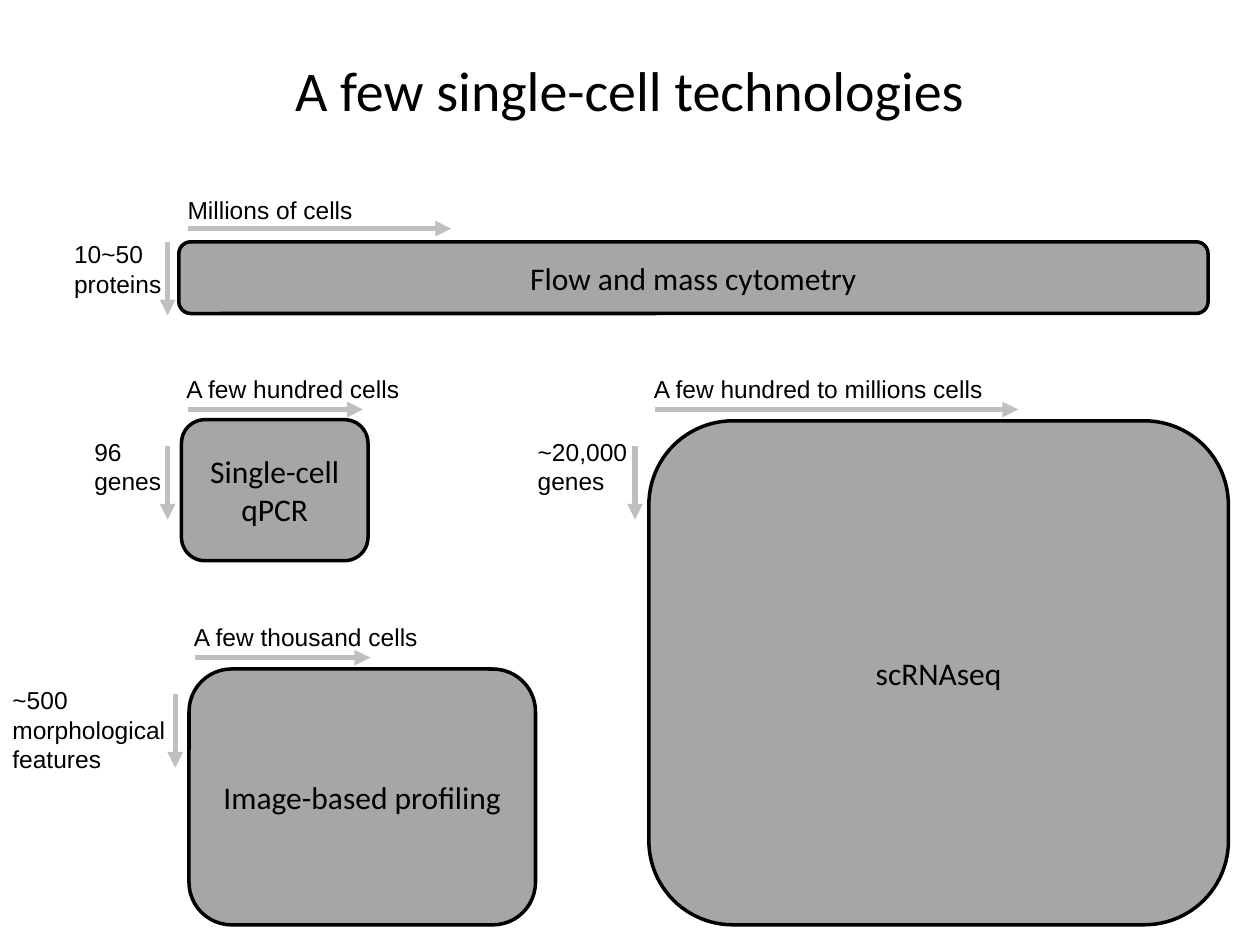
from dataclasses import dataclass

from lxml import etree
from pptx import Presentation
from pptx.dml.color import RGBColor
from pptx.enum.shapes import MSO_CONNECTOR, MSO_SHAPE
from pptx.enum.text import MSO_ANCHOR, MSO_AUTO_SIZE, PP_ALIGN
from pptx.oxml.ns import qn
from pptx.util import Pt

STRAIGHT = MSO_CONNECTOR.STRAIGHT
ROUNDED = MSO_SHAPE.ROUNDED_RECTANGLE
MIDDLE = MSO_ANCHOR.MIDDLE
FIT_SHAPE = MSO_AUTO_SIZE.SHAPE_TO_FIT_TEXT
LEFT, CENTER = PP_ALIGN.LEFT, PP_ALIGN.CENTER

BLACK = RGBColor(0x00, 0x00, 0x00)
BOX_GREY = RGBColor(0xA6, 0xA6, 0xA6)
ARROW_GREY = RGBColor(0xBF, 0xBF, 0xBF)

TITLE_FONT = {"name": "Calibri", "size": Pt(32)}
BOX_FONT = {"name": "Calibri", "size": Pt(18)}
LABEL_FONT = {"name": "Arial", "size": Pt(14)}

FEATURE_ARROW_LENGTH = 42
ARROW_CORNER_GAP = 11.5  # from the feature arrow to the start of the cell arrow


@dataclass
class Technology:
    """Boxes are (left, top, width, height); arrow starts are (x, y)."""
    name: str
    box: tuple
    cells: str
    cells_box: tuple
    cell_arrow: tuple
    cell_arrow_length: float
    features: str
    features_box: tuple
    feature_arrow_top: float


TECHNOLOGIES = [
    Technology("Flow and mass cytometry", (102.2, 138.2, 588.2, 41),
               "Millions of cells", (100.1, 108, 157.7, 24.2),
               (107.3, 130.7), 150.5,
               "10~50\nproteins", (35.3, 133.2, 79.2, 41.2), 138.2),
    Technology("Single-cell qPCR", (103.7, 239.8, 106.6, 80.6),
               "A few hundred cells", (99.4, 210.2, 140.4, 24.2),
               (107.3, 234), 100,
               "96\ngenes", (46.8, 246.2, 54.7, 41.2), 254.9),
    Technology("Image-based profiling", (108, 382.3, 198, 146.2),
               "A few thousand cells", (103.7, 352.1, 157.7, 24.2),
               (111.6, 375.8), 100,
               "~500 morphological features", (0, 388.1, 106.6, 58.3), 396.7),
    Technology("scRNAseq", (370.8, 240.5, 331.2, 288),
               "A few hundred to millions cells", (366.5, 210.2, 317.5, 24.2),
               (374.4, 234), 207.4,
               "~20,000\ngenes", (300.2, 246.2, 69.1, 41.2), 254.9),
]


def points(values):
    return [Pt(value) for value in values]


def write(frame, text, font, alignment):
    frame.word_wrap = True
    frame.text = text
    for paragraph in frame.paragraphs:
        paragraph.alignment = alignment
        for attribute, value in font.items():
            setattr(paragraph.font, attribute, value)
        paragraph.font.color.rgb = BLACK


def add_title(slide, box, text):
    title = slide.shapes.title
    title.left, title.top, title.width, title.height = points(box)
    write(title.text_frame, text, TITLE_FONT, CENTER)
    title.text_frame.vertical_anchor = MIDDLE


def add_label(shapes, box, text):
    frame = shapes.add_textbox(*points(box)).text_frame
    write(frame, text, LABEL_FONT, LEFT)
    frame.auto_size = FIT_SHAPE


def add_arrow(shapes, start, end):
    arrow = shapes.add_connector(STRAIGHT, *points(start + end))
    arrow.line.color.rgb = ARROW_GREY
    arrow.line.width = Pt(3)
    properties = arrow.line._get_or_add_ln()
    etree.SubElement(properties, qn("a:tailEnd"), type="triangle")
    etree.SubElement(properties.getparent(), qn("a:effectLst"))


def add_technology_box(shapes, box, text):
    rectangle = shapes.add_shape(ROUNDED, *points(box))
    rectangle.shadow.inherit = False
    rectangle.fill.solid()
    rectangle.fill.fore_color.rgb = BOX_GREY
    rectangle.line.color.rgb = BLACK
    rectangle.line.width = Pt(2)
    write(rectangle.text_frame, text, BOX_FONT, CENTER)
    rectangle.text_frame.vertical_anchor = MIDDLE


def add_technology(slide, technology):
    """Group a box with its cell count above and feature count at its left."""
    shapes = slide.shapes.add_group_shape().shapes
    add_technology_box(shapes, technology.box, technology.name)

    x, y = technology.cell_arrow
    feature_x, feature_top = x - ARROW_CORNER_GAP, technology.feature_arrow_top
    add_arrow(shapes, (feature_x, feature_top),
              (feature_x, feature_top + FEATURE_ARROW_LENGTH))
    add_label(shapes, technology.features_box, technology.features)
    add_arrow(shapes, (x, y), (x + technology.cell_arrow_length, y))
    add_label(shapes, technology.cells_box, technology.cells)


def main():
    presentation = Presentation()
    presentation.slide_width, presentation.slide_height = Pt(720), Pt(540)
    slide = presentation.slides.add_slide(presentation.slide_layouts[5])
    add_title(slide, (36, 5.8, 648, 90), "A few single-cell technologies")
    for technology in TECHNOLOGIES:
        add_technology(slide, technology)
    presentation.save("out.pptx")


if __name__ == "__main__":
    main()
